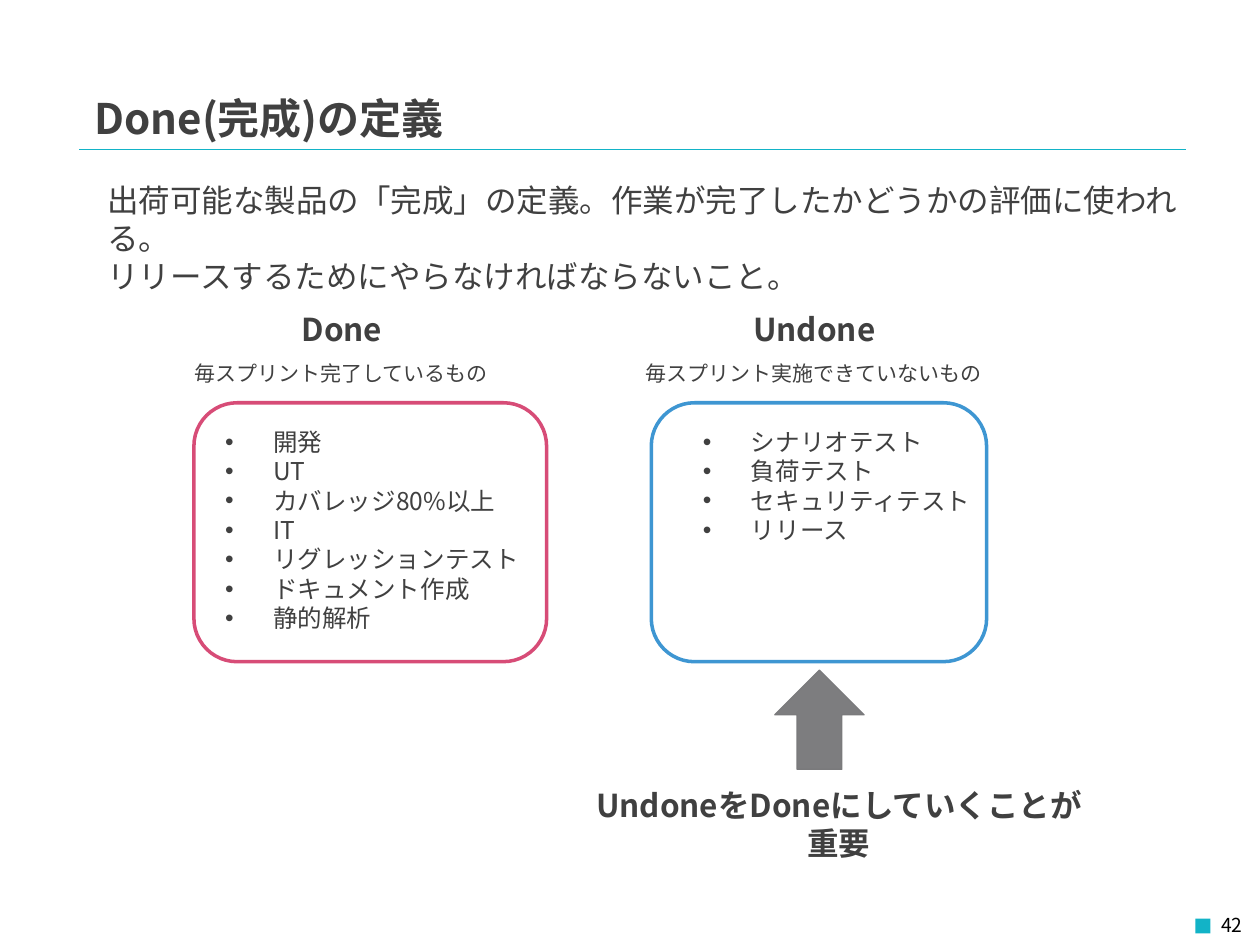
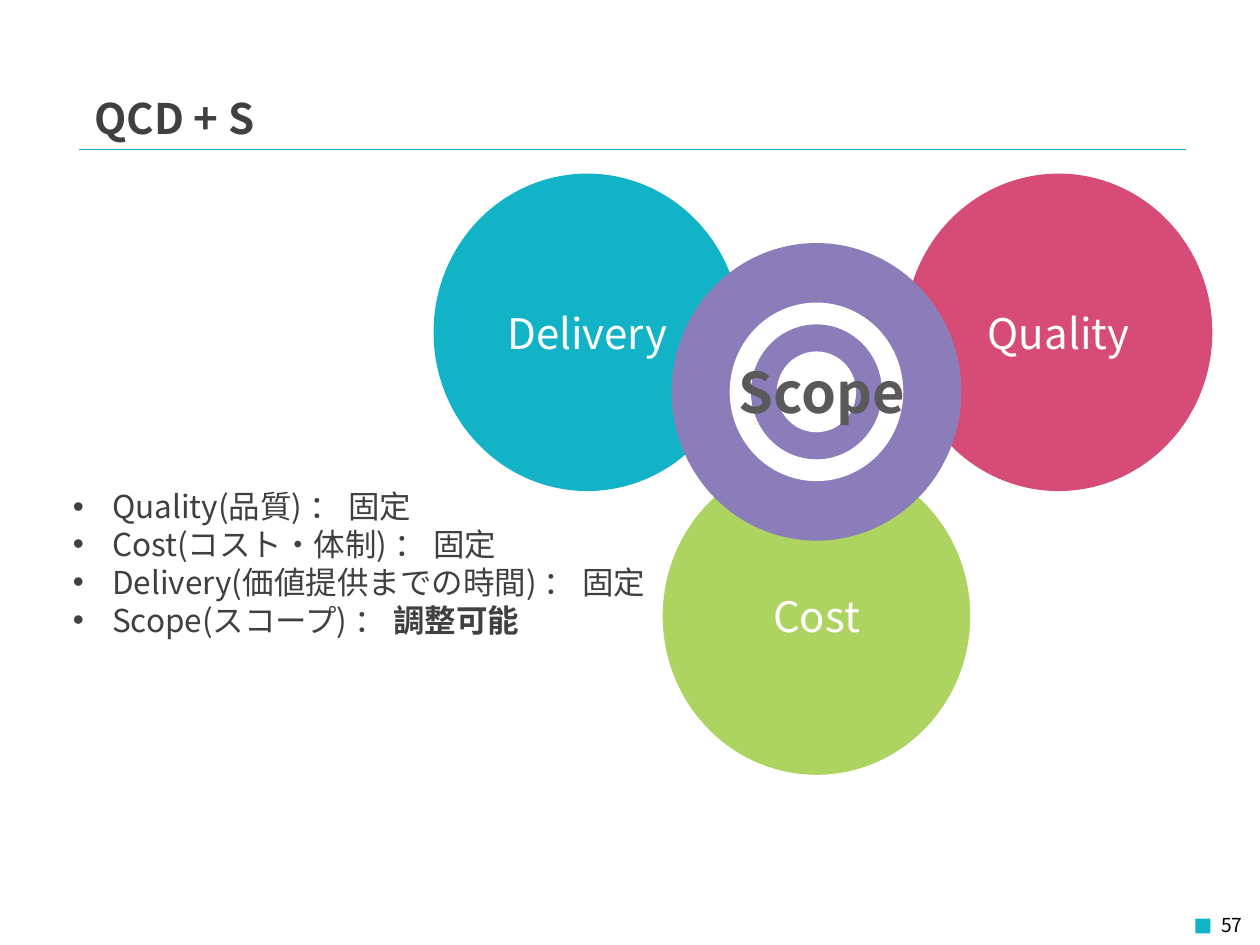
from lxml.etree import SubElement
from pptx import Presentation
from pptx.dml.color import RGBColor
from pptx.enum.shapes import MSO_CONNECTOR, MSO_SHAPE
from pptx.enum.text import MSO_ANCHOR, MSO_AUTO_SIZE, PP_ALIGN
from pptx.oxml.ns import qn
from pptx.util import Cm, Pt

COLORS = {
    "text": "404040", "scope": "595959", "black": "000000", "white": "FFFFFF",
    "teal": "12B3C7", "pink": "D74C77", "blue": "3E96D2", "green": "ADD361",
    "purple": "8B7CBA", "gray": "7D7D7F", "gray_line": "7A7A7C",
}
JP = "Noto Sans CJK JP"
KR = "Noto Sans CJK KR"
TITLE_ONLY = 5


def rgb(name):
    return RGBColor.from_string(COLORS[name])


def write(tf, paragraphs, size=18, font=JP, color="text", bold=False,
          align=PP_ALIGN.LEFT, hang=None):
    """Fill a text frame; a paragraph is a string or a list of (text, bold) runs.

    hang is the hanging indent in cm of a bulleted list.
    """
    for i, runs in enumerate(paragraphs):
        p = tf.paragraphs[0] if i == 0 else tf.add_paragraph()
        p.alignment = align
        p.line_spacing = Pt(size * 1.2)
        p.space_before = Pt(0)
        if hang:
            pPr = p._p.get_or_add_pPr()
            pPr.set("marL", str(Cm(hang)))
            pPr.set("indent", str(-Cm(hang)))
            SubElement(pPr, qn("a:buFont"), typeface="Arial")
            SubElement(pPr, qn("a:buChar"), char="•")
        for text, run_bold in [(runs, bold)] if isinstance(runs, str) else runs:
            r = p.add_run()
            r.text = text
            r.font.size = Pt(size)
            r.font.bold = run_bold
            r.font.name = font
            r.font.color.rgb = rgb(color)
            SubElement(r._r.get_or_add_rPr(), qn("a:ea"), typeface=font)


class Deck:
    def __init__(self):
        self.prs = Presentation()
        self.prs.slide_width = Cm(25.4)
        self.prs.slide_height = Cm(19.05)
        self.s = None

    def slide(self, title, number):
        self.s = self.prs.slides.add_slide(self.prs.slide_layouts[TITLE_ONLY])
        sp = self.s.shapes.title
        sp.left, sp.top, sp.width, sp.height = Cm(1.65), Cm(1.73), Cm(16.2), Cm(1)
        tf = sp.text_frame
        tf.auto_size = MSO_AUTO_SIZE.NONE
        tf.vertical_anchor = MSO_ANCHOR.TOP
        write(tf, [title], size=24, bold=True)
        self.rule(1.6, 23.9, 3)
        self.shape(MSO_SHAPE.RECTANGLE, 24.1, 18.52, 0.3, 0.3, fill="teal")
        self.text([number], 21.77, 18.29, 3.53, 0.76, size=11, color="black",
                  align=PP_ALIGN.RIGHT)

    def rule(self, x1, x2, y):
        line = self.s.shapes.add_connector(
            MSO_CONNECTOR.STRAIGHT, Cm(x1), Cm(y), Cm(x2), Cm(y))
        line.line.color.rgb = rgb("teal")
        line.line.width = Pt(0.25)
        SubElement(line._element.spPr, qn("a:effectLst"))

    def shape(self, kind, x, y, w, h, fill=None, line=None, line_width=2):
        sp = self.s.shapes.add_shape(kind, Cm(x), Cm(y), Cm(w), Cm(h))
        sp.shadow.inherit = False
        if fill:
            sp.fill.solid()
            sp.fill.fore_color.rgb = rgb(fill)
        else:
            sp.fill.background()
        if line:
            sp.line.color.rgb = rgb(line)
            sp.line.width = Pt(line_width)
        else:
            sp.line.fill.background()
        return sp

    def circle(self, cx, cy, w, h, fill, label=None):
        sp = self.shape(MSO_SHAPE.OVAL, cx - w / 2, cy - h / 2, w, h, fill=fill)
        if label:
            sp.text_frame.vertical_anchor = MSO_ANCHOR.MIDDLE
            write(sp.text_frame, [label], size=24, color="white",
                  align=PP_ALIGN.CENTER)

    def text(self, paragraphs, x, y, w, h, **style):
        tf = self.s.shapes.add_textbox(Cm(x), Cm(y), Cm(w), Cm(h)).text_frame
        tf.word_wrap = True
        write(tf, paragraphs, **style)

    def column(self, x, heading, caption):
        """Centred heading and caption above a panel."""
        self.text([heading], x + 1.93, 6.12, 4.39, 1.02, font=KR, bold=True,
                  align=PP_ALIGN.CENTER)
        self.text([caption], x, 7.14, 8.23, 0.76, size=12, font=KR,
                  align=PP_ALIGN.CENTER)

    def panel(self, x, w, color, list_x, items):
        self.shape(MSO_SHAPE.ROUNDED_RECTANGLE, x, 8.12, w, 5.22, line=color)
        self.text(items, list_x, 8.48, 6.71, 0.25 + 0.6 * len(items), size=14,
                  font=KR, hang=0.97)


def done_slide(deck):
    deck.slide("Done(完成)の定義", "42")
    deck.text(["出荷可能な製品の「完成」の定義。作業が完了したかどうかの評価に使われる。",
               "リリースするためにやらなければならないこと。"],
              1.91, 3.53, 22.2, 1.8, font=KR)
    deck.column(2.77, "Done", "毎スプリント完了しているもの")
    deck.panel(3.91, 7.11, "pink", 4.29,
               ["開発", "UT", "カバレッジ80%以上", "IT", "リグレッションテスト",
                "ドキュメント作成", "静的解析"])
    deck.column(12.29, "Undone", "毎スプリント実施できていないもの")
    deck.panel(13.13, 6.76, "blue", 13.92,
               ["シナリオテスト", "負荷テスト", "セキュリティテスト", "リリース"])
    deck.shape(MSO_SHAPE.UP_ARROW, 15.62, 13.51, 1.8, 2, fill="gray",
               line="gray_line", line_width=0.75)
    deck.text(["UndoneをDoneにしていくことが重要"], 11.51, 15.72, 10.8, 1.02,
              bold=True, align=PP_ALIGN.CENTER)


def qcds_slide(deck):
    deck.slide("QCD + S", "57")
    for label, cx, cy, color in [("Quality", 21.34, 6.7, "pink"),
                                 ("Cost", 16.46, 12.42, "green"),
                                 ("Delivery", 11.84, 6.7, "teal")]:
        deck.circle(cx, cy, 6.2, 6.4, color, label)
    for w, h, color in [(5.84, 6, "purple"), (3.5, 3.6, "white"),
                        (2.64, 2.72, "purple"), (1.6, 1.63, "white")]:
        deck.circle(16.46, 7.9, w, h, color)
    deck.text(["Scope"], 14.07, 7.09, 5, 1.63, size=32, color="scope", bold=True,
              align=PP_ALIGN.CENTER)
    deck.text(["Quality(品質) ： 固定",
               "Cost(コスト・体制) ： 固定",
               "Delivery(価値提供までの時間) ： 固定",
               [("Scope(スコープ) ： ", False), ("調整可能", True)]],
              1.22, 9.7, 15, 3.33, hang=0.79)


def main():
    deck = Deck()
    done_slide(deck)
    qcds_slide(deck)
    deck.prs.save("out.pptx")


if __name__ == "__main__":
    main()
